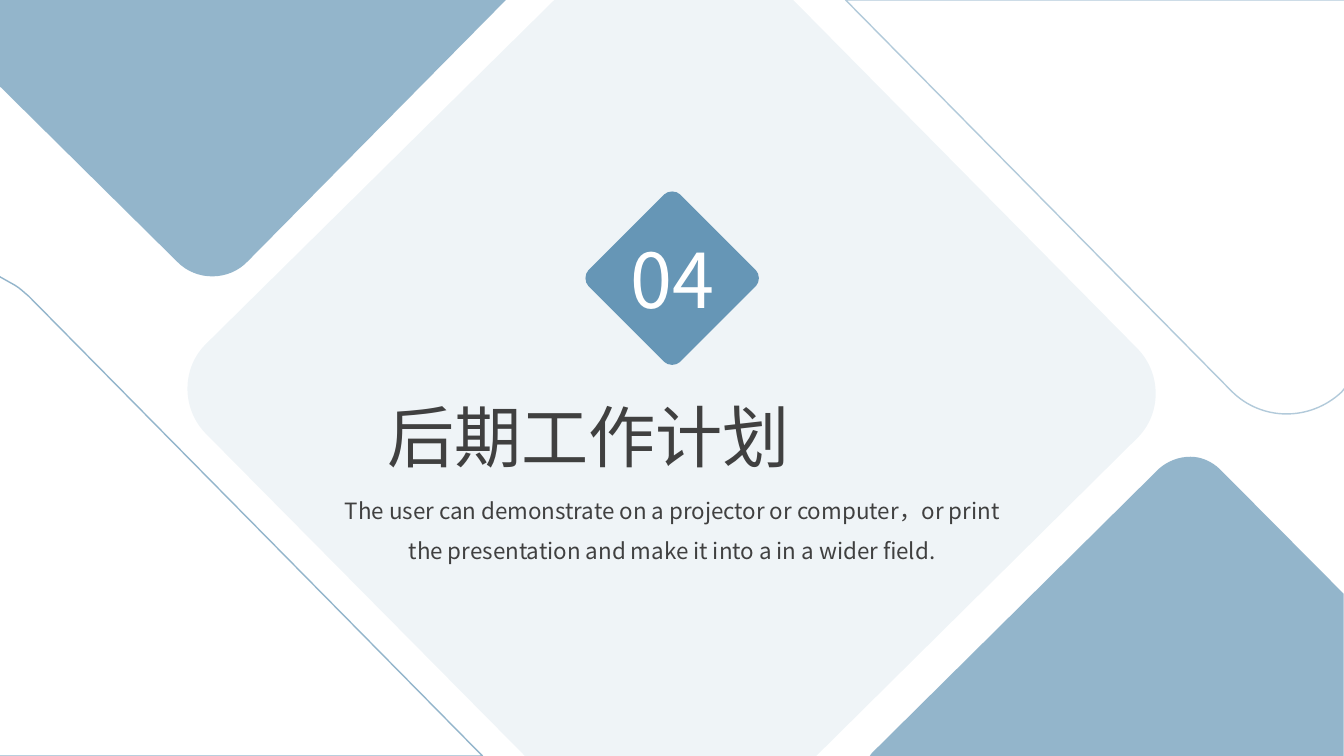
import pptx
import pptx.dml.color
import pptx.enum.text
import pptx.oxml
import pptx.oxml.ns
import pptx.util
from pptx.util import Cm

COLORS = {"blue": "6696B6", "white": "FFFFFF", "text": "404040"}
FONT = "Noto Sans CJK SC"
NAMESPACE = pptx.oxml.ns.nsdecls("a")
ALIGN = pptx.enum.text.PP_ALIGN
ANCHOR = pptx.enum.text.MSO_ANCHOR
AUTO_SIZE = pptx.enum.text.MSO_AUTO_SIZE

# Background panels: box (left, top, width, height), opacity in percent,
# filled, outline. Outline points are in cm from the box's corner: two
# numbers are a straight line to a point, six numbers are a Bezier curve.
PANELS = [
    # lower left
    ((-0.03, 6.96, 12.19, 12.09), 70, False, [
        (0, 0), (0.41, 0.23), (0.53, 0.3, 0.64, 0.41, 0.76, 0.51),
        (12.19, 12.09), (0, 12.09)]),
    # centre
    ((4.72, 0, 24.41, 19.05), 10, True, [
        (9.25, 0), (15.27, 0), (23.95, 8.79),
        (24.56, 9.42, 24.56, 10.44, 23.93, 11.05),
        (15.85, 19.05), (8.51, 19.05), (0.46, 10.92),
        (-0.15, 10.29, -0.15, 9.27, 0.48, 8.66)]),
    # lower right
    ((21.92, 11.51, 11.94, 7.54), 70, True, [
        (8.08, 0), (8.33, 0, 8.61, 0.1, 8.84, 0.33), (11.94, 3.45),
        (11.94, 7.54), (0, 7.54), (0.05, 7.47), (7.29, 0.3),
        (7.52, 0.1, 7.8, 0, 8.08, 0)]),
    # upper left
    ((0, 0, 12.75, 6.96), 70, True, [
        (12.75, 0), (0, 0), (0, 2.18), (4.47, 6.6),
        (4.95, 7.09, 5.77, 7.09, 6.25, 6.58)]),
    # upper right
    ((21.31, 0, 12.62, 10.44), 50, False, [
        (0, 0), (12.62, 0), (12.62, 9.73), (12.5, 9.88),
        (11.71, 10.62, 10.49, 10.62, 9.73, 9.86)]),
]


def rgb(name):
    return pptx.dml.color.RGBColor.from_string(COLORS[name])


def bend(line, segment):
    """Replace a straight segment of an outline by a Bezier curve."""
    points = "".join(f'<a:pt x="{Cm(x)}" y="{Cm(y)}"/>'
                     for x, y in zip(segment[::2], segment[1::2]))
    curve = pptx.oxml.parse_xml(
        f'<a:cubicBezTo {NAMESPACE}>{points}</a:cubicBezTo>')
    line.getparent().replace(line, curve)


def add_outline(slide, box, outline, filled=True, opacity=100):
    left, top, width, height = map(Cm, box)
    # The box corners fix the size; the outline's own points follow
    builder = slide.shapes.build_freeform(0, 0)
    builder.add_line_segments([(width, height)], close=True)
    shape = builder.convert_to_shape(left, top)
    outline_path = next(shape.element.iter(pptx.oxml.ns.qn("a:path")))
    for child in list(outline_path):
        outline_path.remove(child)
    for index, segment in enumerate(outline):
        tag = "lnTo" if index else "moveTo"
        x, y = segment[-2:]
        step = pptx.oxml.parse_xml(
            f'<a:{tag} {NAMESPACE}><a:pt x="{Cm(x)}" y="{Cm(y)}"/></a:{tag}>')
        outline_path.append(step)
        if len(segment) == 6:
            bend(step, segment)
    outline_path.append(pptx.oxml.parse_xml(f"<a:close {NAMESPACE}/>"))

    shape.shadow.inherit = False
    if filled:
        shape.line.fill.background()
        paint = shape.fill
    else:
        shape.fill.background()
        shape.line.width = pptx.util.Pt(1)
        paint = shape.line.fill
    paint.solid()
    paint.fore_color.rgb = rgb("blue")
    if opacity < 100:
        color = next(shape.element.spPr.iter(pptx.oxml.ns.qn("a:srgbClr")))
        color.append(pptx.oxml.parse_xml(
            f'<a:alpha {NAMESPACE} val="{opacity * 1000}"/>'))
    return shape


def write(shape, text, size, color, alignment,
          anchor=ANCHOR.TOP, auto_size=AUTO_SIZE.SHAPE_TO_FIT_TEXT):
    frame = shape.text_frame
    frame.text = text
    frame.word_wrap = True
    frame.auto_size = auto_size
    frame.vertical_anchor = anchor
    paragraph = frame.paragraphs[0]
    paragraph.alignment = alignment
    font = paragraph.runs[0].font
    font.size = pptx.util.Pt(size)
    font.name = FONT
    font.color.rgb = rgb(color)
    font._element.append(pptx.oxml.parse_xml(
        f'<a:ea {NAMESPACE} typeface="{FONT}"/>'))
    return paragraph


def add_background(slide):
    panels = [add_outline(slide, box, outline, filled, opacity)
              for box, opacity, filled, outline in PANELS]
    slide.shapes.add_group_shape(panels)


def add_number(slide, left, top, size, number):
    """A diamond with rounded corners, one corner turned four times."""
    half = size / 2
    corner = [(-0.2, 0.1 - half),
              (-0.1, -half), (0.1, -half), (0.2, 0.1 - half)]
    outline = []
    for _ in range(4):
        placed = [(half + x, half + y) for x, y in corner]
        outline += [placed[0], sum(placed[1:], ())]
        corner = [(-y, x) for x, y in corner]
    diamond = add_outline(slide, (left, top, size, size), outline)
    write(diamond, number, 54, "white", ALIGN.CENTER,
          ANCHOR.MIDDLE, AUTO_SIZE.NONE)


def add_heading(slide, left, top, width, title_text, description):
    # Title, brought in front of the panels
    title = slide.shapes.title
    title.left, title.top = Cm(left + 1.22), Cm(top)
    title.width, title.height = Cm(14.86), Cm(2.31)
    title.element.getparent().append(title.element)
    write(title, title_text, 48, "text", ALIGN.JUSTIFY)

    # Description
    box = slide.shapes.add_textbox(Cm(left), Cm(top + 2.24), Cm(width), Cm(2.18))
    write(box, description, 16, "text", ALIGN.CENTER).line_spacing = 1.5


def main():
    presentation = pptx.Presentation()
    presentation.slide_width, presentation.slide_height = Cm(33.87), Cm(19.05)
    slide = presentation.slides.add_slide(presentation.slide_layouts[5])
    add_background(slide)
    add_number(slide, 14.73, 4.8, 4.42, "04")
    add_heading(slide, 8.28, 9.83, 17.32, "后期工作计划",
                "The user can demonstrate on a projector or computer，or print "
                "the presentation and make it into a in a wider field.")
    presentation.save("out.pptx")


if __name__ == "__main__":
    main()
